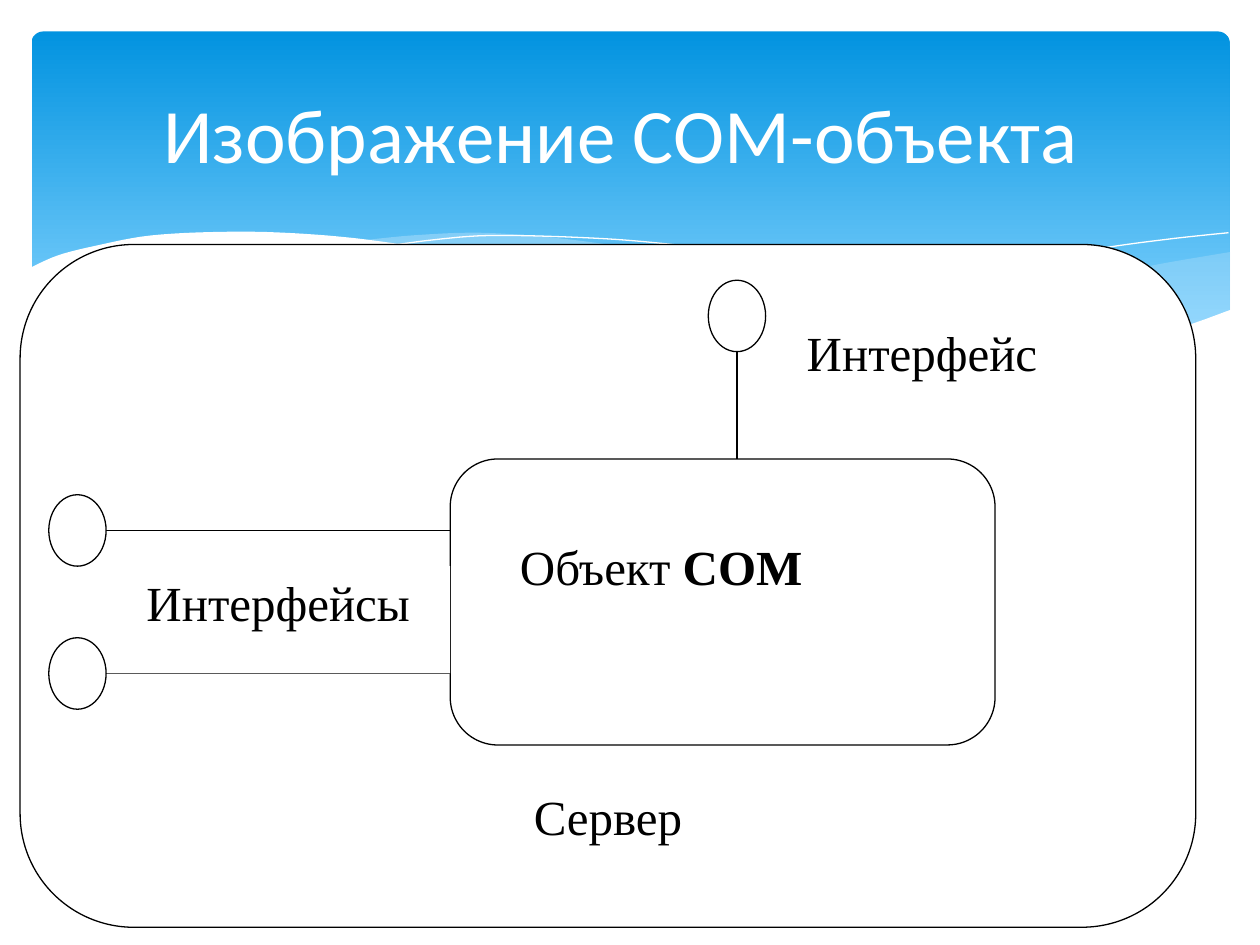
from dataclasses import dataclass

from lxml.etree import SubElement
from pptx import Presentation
from pptx.dml.color import RGBColor
from pptx.enum.shapes import MSO_CONNECTOR, MSO_SHAPE
from pptx.enum.text import MSO_ANCHOR, PP_ALIGN
from pptx.oxml.ns import qn
from pptx.util import Pt


@dataclass(frozen=True)
class Theme:
    """Colours, fonts and sizes of the slide."""
    white: str = "FFFFFF"
    ink: str = "000000"
    sky_top: str = "0293E0"
    sky_bottom: str = "83D3FE"
    mist: str = "C6E7FC"
    title_font: str = "Calibri"
    label_font: str = "Times New Roman"
    title_size: float = 44
    label_size: float = 28
    line_width: float = 0.75


THEME = Theme()
RIGHT_SWELL = (
    [(685, 126), (634, 135), (581, 148), (524, 161), (458, 173)],
    [(458, 173), (500, 178), (536, 181), (575, 181), (610, 179), (645, 173), (685, 160)],
)
MIDDLE_SWELL = (
    [(625, 179), (585, 173), (540, 165), (490, 155), (435, 142), (392, 132),
     (352, 125), (300, 118), (256, 115), (218, 116.5), (188, 119.5)],
    [(188, 119.5), (228, 125), (273, 134), (305, 142), (364, 155), (415, 166),
     (472, 175), (521, 181), (563, 182), (599, 181), (625, 179)],
)
LONG_CREST = [(204.5, 122.4), (230, 119), (261, 116.6), (306, 117.4), (349, 120),
              (401, 126), (461, 135.5), (529, 150), (580, 163), (635, 178)]
RIGHT_CREST = [(423, 167), (482, 151), (541, 137.5), (605, 125), (647, 119), (684, 115)]
FRONT_WAVE = (
    [(685.4, 159), (652, 170.5), (612, 178.5), (564, 181.4), (505, 178), (433, 168),
     (363, 154), (304, 140.4), (245, 127.4), (192, 119), (148, 115.2), (109, 114.5),
     (68, 116.6), (37, 122.4), (15, 128), (-1.4, 135.4)],
    [(-1.4, 219), (685.4, 219)],
)


def rgb(color):
    """Turn a hex string into a colour."""
    return RGBColor.from_string(color)


def spline(points, steps=6):
    """Sample a smooth curve that passes through the points."""
    padded = [points[0], *points, points[-1]]
    curve = [points[0]]
    for a, b, c, d in zip(padded, padded[1:], padded[2:], padded[3:]):
        for i in range(1, steps + 1):
            t = i / steps
            curve.append(tuple(
                (2 * q + (r - p) * t + (2 * p - 5 * q + 4 * r - s) * t ** 2
                 + (3 * q - p - 3 * r + s) * t ** 3) / 2
                for p, q, r, s in zip(a, b, c, d)))
    return curve


def add_wave(slide, box, parts, color, alpha=None, closed=True):
    """Draw smooth parts as a filled wave or as an open crest."""
    left, top = box[:2]
    points = [(Pt(left + x), Pt(top + y)) for part in parts for x, y in spline(part)]
    builder = slide.shapes.build_freeform(*points[0])
    builder.add_line_segments(points[1:], close=closed)
    s = builder.convert_to_shape()
    s.shadow.inherit = False
    if not closed:
        s.fill.background()
        s.line.color.rgb = rgb(color)
        s.line.width = Pt(0)
        return
    s.line.fill.background()
    s.fill.solid()
    s.fill.fore_color.rgb = rgb(color)
    if alpha:
        clr = s.fill._xPr.find(qn("a:solidFill"))[0]
        SubElement(clr, qn("a:alpha")).set("val", str(alpha * 1000))


def add_banner(slide, box):
    """Draw the gradient banner and the waves along its lower edge."""
    s = slide.shapes.add_shape(MSO_SHAPE.ROUNDED_RECTANGLE, *map(Pt, box))
    s.adjustments[0] = 0.034
    s.shadow.inherit = False
    s.line.fill.background()
    s.fill.gradient()
    s.fill.gradient_angle = 270
    stops = zip(s.fill.gradient_stops, (0, 0.9), (THEME.sky_top, THEME.sky_bottom))
    for stop, position, color in stops:
        stop.position = position
        stop.color.rgb = rgb(color)
    add_wave(slide, box, RIGHT_SWELL, THEME.mist, alpha=29)
    add_wave(slide, box, MIDDLE_SWELL, THEME.mist, alpha=40)
    for crest in (LONG_CREST, RIGHT_CREST):
        add_wave(slide, box, [crest], THEME.white, closed=False)
    add_wave(slide, box, FRONT_WAVE, THEME.white)


def add_run(p, text, font, size, color, bold=None):
    """Append one formatted run to a paragraph."""
    r = p.add_run()
    r.text = text
    r.font.name = font
    r.font.size = Pt(size)
    r.font.bold = bold
    r.font.color.rgb = rgb(color)


def add_title(slide, box):
    """Place the slide title."""
    tf = slide.shapes.add_textbox(*map(Pt, box)).text_frame
    tf.word_wrap = True
    tf.vertical_anchor = MSO_ANCHOR.MIDDLE
    p = tf.paragraphs[0]
    p.alignment = PP_ALIGN.CENTER
    add_run(p, "Изображение СОМ-объекта ", THEME.title_font, THEME.title_size, THEME.white)


def add_diagram(slide, box):
    """Draw the server, its object and the interfaces on a grid of 41 by 19.1 cells."""
    left, top, width, height = box
    u, v = width / 41, height / 19.1

    def place(x, y):
        return Pt(left + x * u), Pt(top + y * v)

    def shape(kind, x, y, w, h, outlined=True):
        s = slide.shapes.add_shape(kind, *place(x, y), Pt(w * u), Pt(h * v))
        s.shadow.inherit = False
        s.fill.solid()
        s.fill.fore_color.rgb = rgb(THEME.white)
        if outlined:
            s.line.color.rgb = rgb(THEME.ink)
            s.line.width = Pt(THEME.line_width)
        else:
            s.line.fill.background()
        return s

    def link(start, end):
        c = slide.shapes.add_connector(MSO_CONNECTOR.STRAIGHT, *place(*start), *place(*end))
        c.line.color.rgb = rgb(THEME.ink)
        c.line.width = Pt(THEME.line_width)
        SubElement(c._element.spPr, qn("a:effectLst"))

    def label(x, y, w, h, align, *runs):
        tf = shape(MSO_SHAPE.RECTANGLE, x, y, w, h, outlined=False).text_frame
        tf.word_wrap = True
        tf.vertical_anchor = MSO_ANCHOR.TOP
        p = tf.paragraphs[0]
        p.alignment = align
        for text, bold in runs:
            add_run(p, text, THEME.label_font, THEME.label_size, THEME.ink, bold)

    for cell in ((0, 0, 41, 19.1), (15, 6, 19, 8)):
        shape(MSO_SHAPE.ROUNDED_RECTANGLE, *cell)
    link((25, 6), (25, 2))
    shape(MSO_SHAPE.OVAL, 24, 1, 2, 2)
    for y in (8, 12):
        link((15, y), (2, y))
    label(27, 2, 13, 3, PP_ALIGN.LEFT, ("Интерфейс", None))
    label(17, 8, 16, 4, PP_ALIGN.LEFT, ("Объект ", None), ("СОМ", True))
    label(11, 15, 19, 4, PP_ALIGN.CENTER, ("Сервер", None))
    label(3, 9, 12, 3, PP_ALIGN.CENTER, ("Интерфейсы", None))
    for y in (11, 7):
        shape(MSO_SHAPE.OVAL, 1, y, 2, 2)


def main():
    """Build and save the slide."""
    prs = Presentation()
    prs.slide_width, prs.slide_height = Pt(720), Pt(540)
    slide = prs.slides.add_slide(prs.slide_layouts[6])
    add_banner(slide, (18, 18, 684.7, 194.4))
    add_title(slide, (36, 26.6, 648, 98.6))
    add_diagram(slide, (11.5, 139.7, 671.8, 390.2))
    prs.save("out.pptx")


if __name__ == "__main__":
    main()
